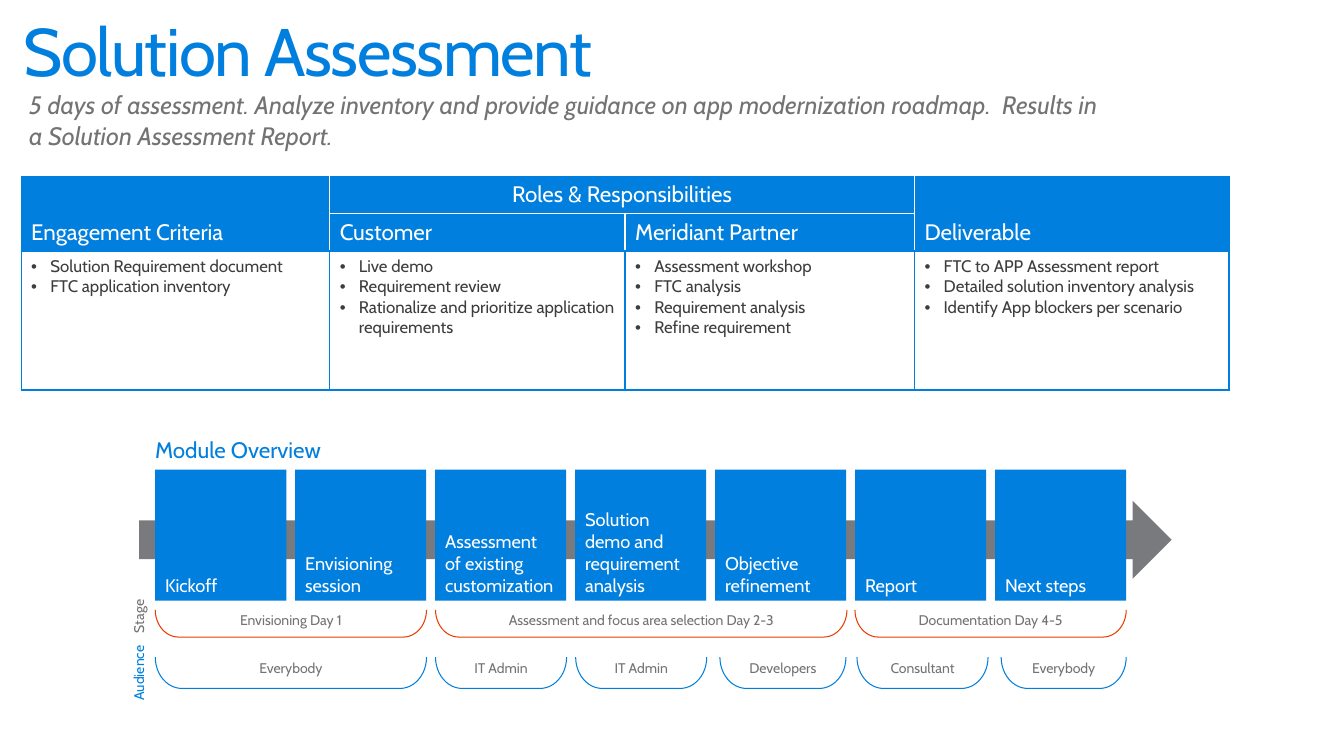
from lxml import etree
from pptx import Presentation
from pptx.dml.color import RGBColor
from pptx.enum.shapes import MSO_SHAPE as SHAPE
from pptx.enum.text import MSO_ANCHOR as ANCHOR, MSO_AUTO_SIZE as AUTO, PP_ALIGN as ALIGN
from pptx.oxml.ns import qn
from pptx.util import Inches, Pt

COLORS = {"blue": "007FDE", "white": "FFFFFF", "gray": "737373",
          "dark": "3C3D3E", "arrow": "797A7D", "orange": "EB3C00"}


def rgb(name):
    return RGBColor.from_string(COLORS[name])


def write(tf, text, size, color, align=ALIGN.LEFT, anchor=ANCHOR.TOP):
    tf.text = text
    tf.word_wrap = True
    tf.vertical_anchor = anchor
    for p in tf.paragraphs:
        p.alignment = align
        for r in p.runs:
            r.font.name = "Cabin"
            r.font.size = Pt(size)
            r.font.bold = False
            r.font.color.rgb = rgb(color)


prs = Presentation()
prs.slide_width, prs.slide_height = Inches(13.33), Inches(7.5)
s = prs.slides.add_slide(prs.slide_layouts[5])

title = s.shapes.title
title.left, title.top = Inches(0.13), Inches(0.2)
title.width, title.height = Inches(13.13), Inches(0.69)
write(title.text_frame, "Solution Assessment", 48, "blue", anchor=ANCHOR.MIDDLE)
title.text_frame.auto_size = AUTO.NONE
p = title.text_frame.paragraphs[0]
p.line_spacing = 0.9
p.runs[0].font._element.set("spc", "-100")

sp = s.shapes.add_textbox(Inches(0.19), Inches(0.84), Inches(10.95), Inches(0.71))
write(sp.text_frame, "5 days of assessment. Analyze inventory and provide guidance on app "
      "modernization roadmap.  Results in a Solution Assessment Report.", 18, "gray")
sp.text_frame.paragraphs[0].runs[0].font.italic = True

rows = [
    ["Engagement Criteria", "Roles & Responsibilities", "", "Deliverable"],
    ["", "Customer", "Meridiant Partner", ""],
    ["Solution Requirement document\nFTC application inventory",
     "Live demo\nRequirement review\nRationalize and prioritize application requirements",
     "Assessment workshop\nFTC analysis\nRequirement analysis\nRefine requirement",
     "FTC to APP Assessment report\nDetailed solution inventory analysis\n"
     "Identify App blockers per scenario"],
]
table = s.shapes.add_table(3, 4, Inches(0.21), Inches(1.75), Inches(11.98), Inches(2.12)).table
table.first_row = table.horz_banding = False
for col, width in zip(table.columns, [3.06, 2.93, 2.87, 3.12]):
    col.width = Inches(width)
for row, height in zip(table.rows, [0.37, 0.37, 1.38]):
    row.height = Inches(height)
table.cell(0, 0).merge(table.cell(1, 0))
table.cell(0, 1).merge(table.cell(0, 2))
table.cell(0, 3).merge(table.cell(1, 3))

for i, texts in enumerate(rows):
    for j, text in enumerate(texts):
        cell = table.cell(i, j)
        header, middle = i < 2, j in (1, 2)
        white_edges = {"L": header and j > 0, "R": header and j < 3,
                       "T": i == 1 and middle, "B": i == 0 and middle}
        tcPr = cell._tc.get_or_add_tcPr()
        for side, is_white in white_edges.items():
            ln = etree.SubElement(tcPr, qn(f"a:ln{side}"), w=str(Pt(1)))
            fill = etree.SubElement(ln, qn("a:solidFill"))
            etree.SubElement(fill, qn("a:srgbClr"), val=COLORS["white" if is_white else "blue"])
        if header:
            cell.fill.solid()
            cell.fill.fore_color.rgb = rgb("blue")
        else:
            cell.fill.background()
        if not text:
            continue
        write(cell.text_frame, text, 16 if header else 12, "white" if header else "dark",
              ALIGN.CENTER if (i, j) == (0, 1) else ALIGN.LEFT)
        cell.vertical_anchor = ANCHOR.BOTTOM if header and not middle else ANCHOR.TOP
        if not header:
            for p in cell.text_frame.paragraphs:
                pPr = p._p.get_or_add_pPr()
                pPr.set("marL", str(Inches(0.19)))
                pPr.set("indent", str(-Inches(0.19)))
                etree.SubElement(pPr, qn("a:buFont"), typeface="Arial")
                etree.SubElement(pPr, qn("a:buChar"), char="•")

arrow = s.shapes.add_shape(SHAPE.RIGHT_ARROW, Inches(1.38), Inches(4.97),
                           Inches(10.24), Inches(0.77))
arrow.shadow.inherit = False
arrow.fill.solid()
arrow.fill.fore_color.rgb = rgb("arrow")
arrow.line.fill.background()

steps = ["Kickoff", "Envisioning session", "Assessment of existing customization",
         "Solution demo and requirement analysis", "Objective refinement",
         "Report", "Next steps"]
for i, step in enumerate(steps):
    sp = s.shapes.add_shape(SHAPE.RECTANGLE, Inches(1.54 + i * 8.33 / 6), Inches(4.66),
                            Inches(1.3), Inches(1.3))
    sp.shadow.inherit = False
    sp.fill.solid()
    sp.fill.fore_color.rgb = rgb("blue")
    sp.line.fill.background()
    write(sp.text_frame, step, 13, "white", anchor=ANCHOR.BOTTOM)

sp = s.shapes.add_textbox(Inches(1.44), Inches(4.28), Inches(2.33), Inches(0.37))
write(sp.text_frame, "Module Overview", 16, "blue")

brackets = [
    ("orange", 6.05, 0.27, [("Envisioning Day 1", 1.54, 2.69),
                            ("Assessment and focus area selection Day 2-3", 4.32, 4.08),
                            ("Documentation Day 4-5", 8.48, 2.69)]),
    ("blue", 6.52, 0.31, [("Everybody", 1.54, 2.69), ("IT Admin", 4.32, 1.3),
                          ("IT Admin", 5.71, 1.3), ("Developers", 7.14, 1.25),
                          ("Consultant", 8.5, 1.3), ("Everybody", 9.93, 1.24)]),
]
for color, top, depth, spans in brackets:
    for label, left, length in spans:
        shift = (length - depth) / 2
        sp = s.shapes.add_shape(SHAPE.LEFT_BRACKET, Inches(left + shift), Inches(top - shift),
                                Inches(depth), Inches(length))
        sp.rotation = 270
        sp.adjustments[0] = 0.854
        sp.shadow.inherit = False
        sp.fill.background()
        sp.line.color.rgb = rgb(color)
        sp.line.width = Pt(0.75)
        write(sp.text_frame, label, 10, "gray", ALIGN.CENTER, ANCHOR.MIDDLE)
        sp.text_frame._txBody.bodyPr.set("vert", "vert")

for label, top, height, color in [("Stage", 5.83, 0.45, "gray"), ("Audience", 6.28, 0.67, "blue")]:
    sp = s.shapes.add_textbox(Inches(1.29), Inches(top), Inches(0.17), Inches(height))
    tf = sp.text_frame
    write(tf, label, 10, color)
    tf.margin_left = tf.margin_right = tf.margin_top = tf.margin_bottom = 0
    tf._txBody.bodyPr.set("vert", "vert270")

prs.save("out.pptx")
